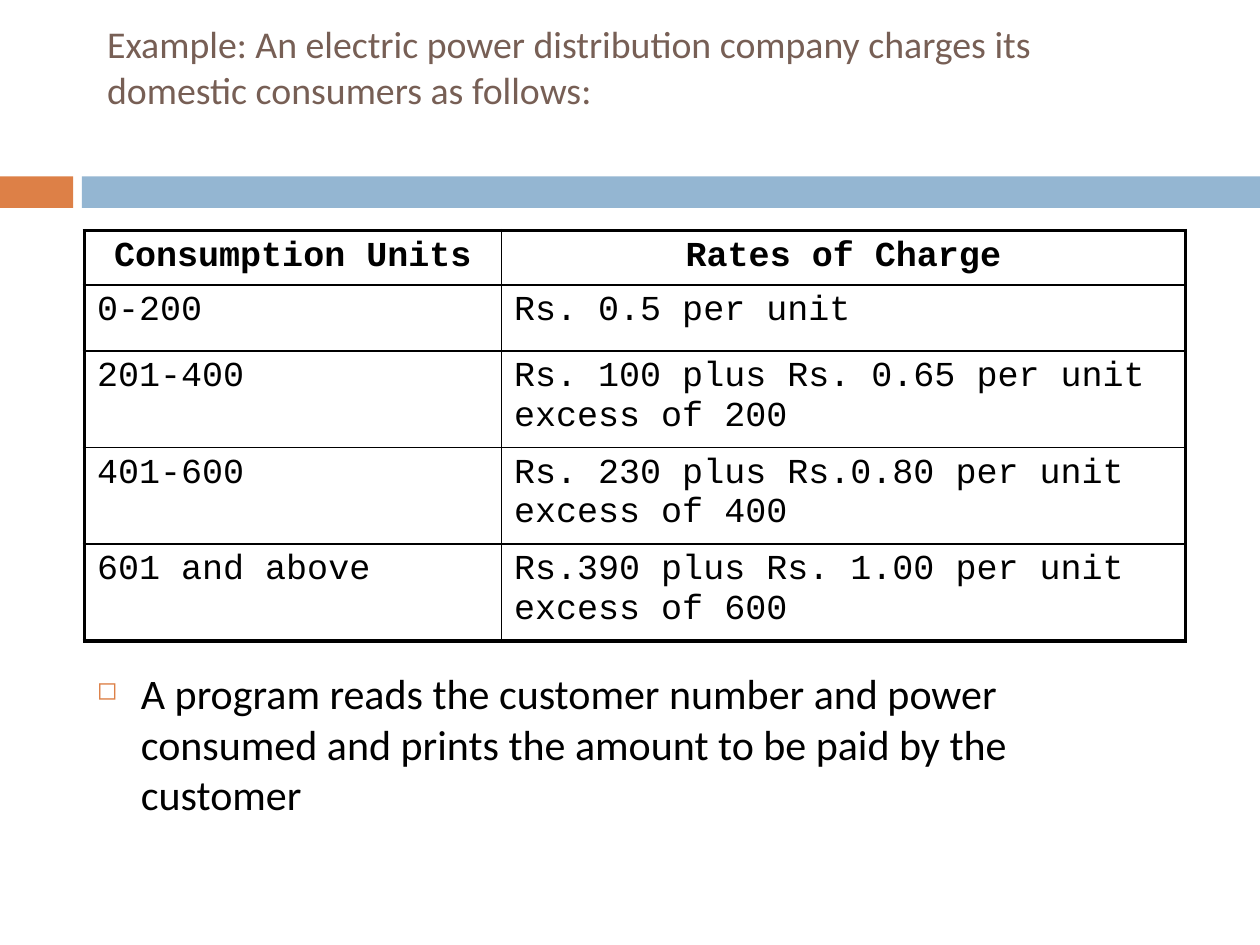
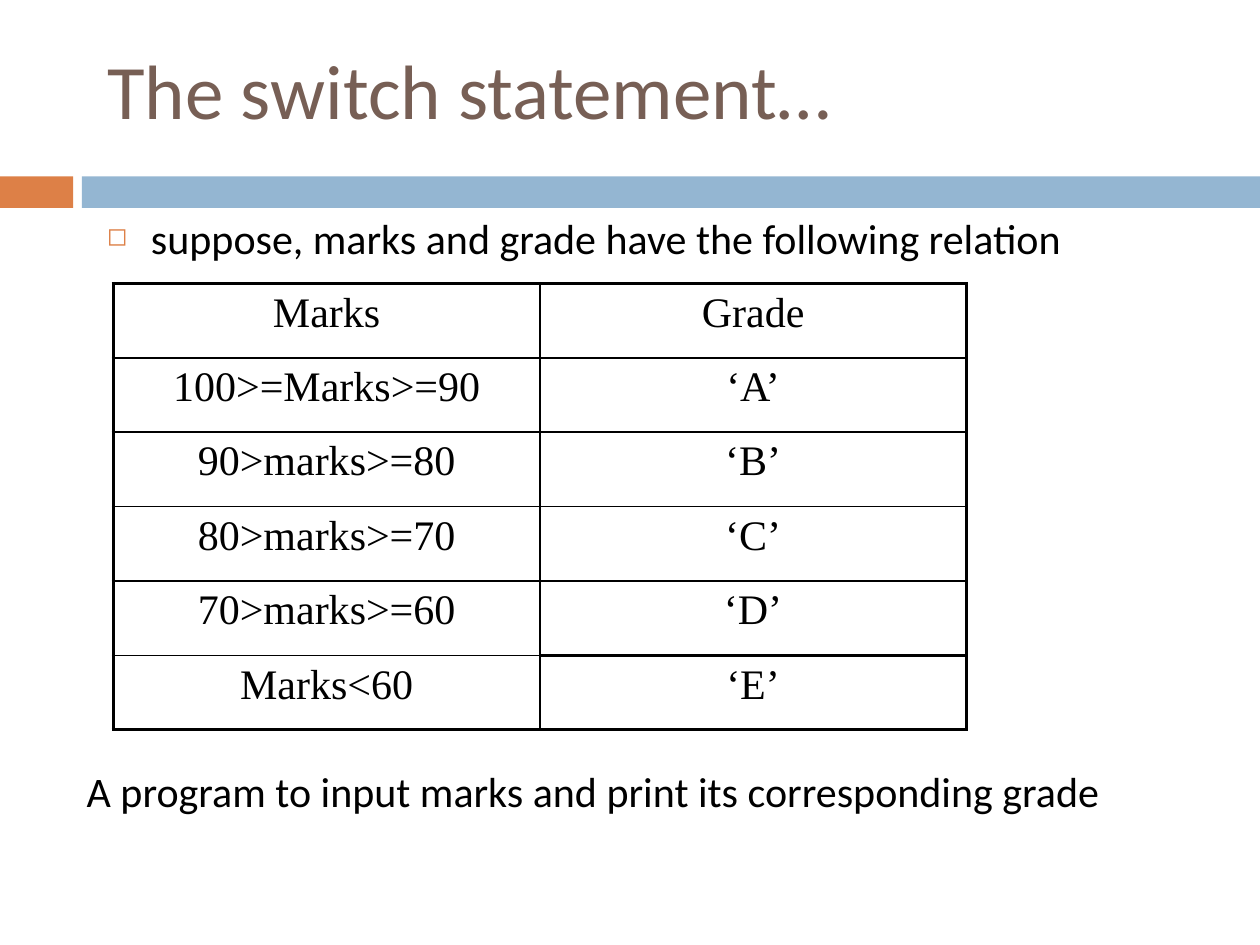
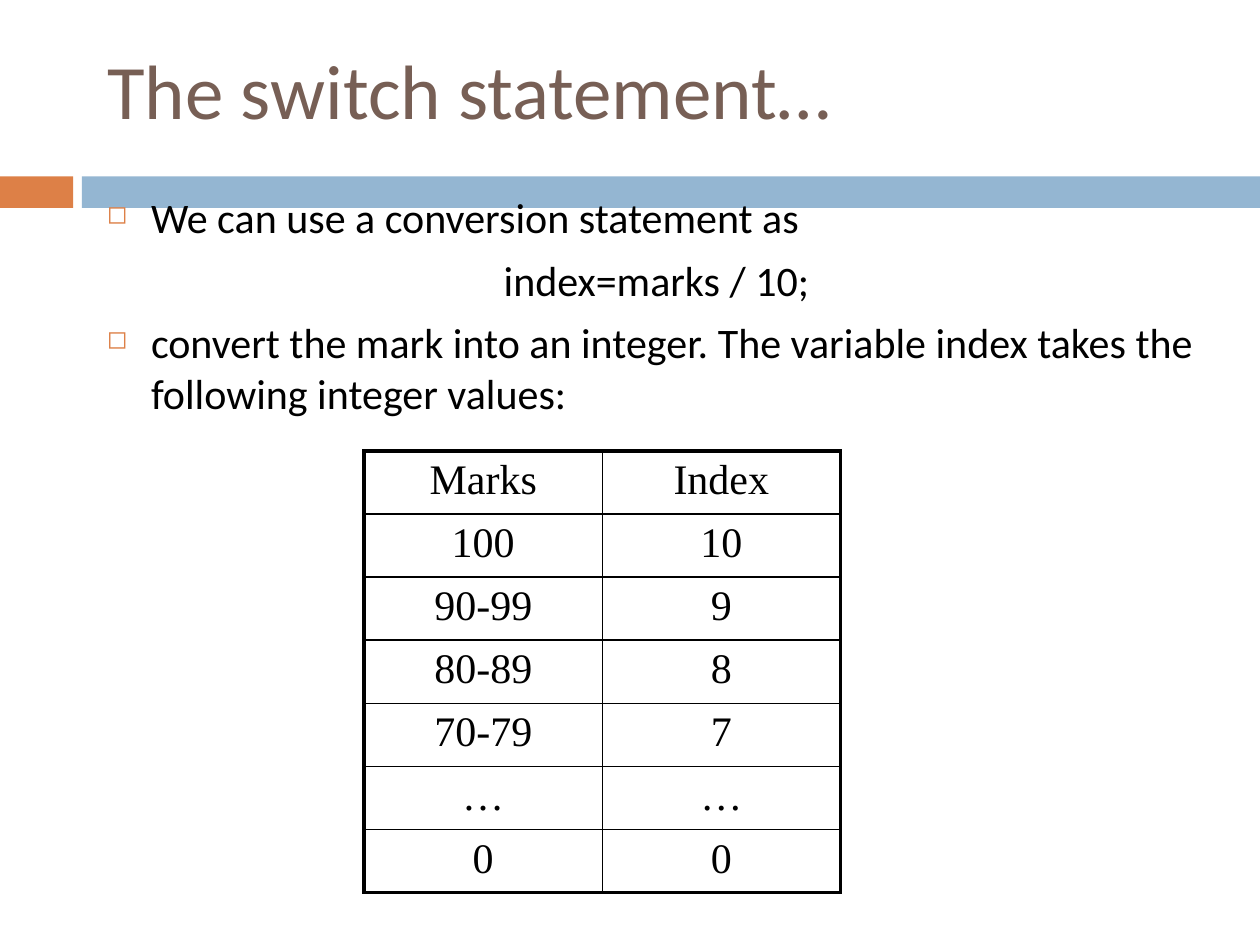
import pptx
import pptx.util
import pptx.dml.color
import pptx.enum.shapes
import pptx.enum.text
import pptx.oxml.ns
from lxml import etree

Pt, Inches = pptx.util.Pt, pptx.util.Inches
Align = pptx.enum.text.PP_ALIGN
Anchor = pptx.enum.text.MSO_ANCHOR
qn = pptx.oxml.ns.qn

# Shared look
WIDE, HIGH = Inches(10), Inches(7.5)
BLACK, BROWN, ORANGE, BLUE = "000000", "775F55", "DD8047", "94B6D2"
SANS, SERIF, MONO = "Calibri", "Times New Roman", "Courier New"
THIN, THICK = 1, 2.25
HANG = Inches(0.35)


def color(code):
    return pptx.dml.color.RGBColor.from_string(code)


def across(share):
    """Percent of the slide's width."""
    return round(WIDE * share / 100)


def down(share):
    """Percent of the slide's height."""
    return round(HIGH * share / 100)


def place(x, y, w, h):
    return across(x), down(y), across(w), down(h)


def apply(item, **values):
    for name, value in values.items():
        setattr(item, name, value)


def write(para, text, size, face=SANS, ink=BLACK, bold=False):
    run = para.add_run()
    run.text = text
    apply(run.font, size=Pt(size), name=face, bold=bold)
    run.font.color.rgb = color(ink)


def node(parent, tag, **values):
    child = etree.SubElement(parent, qn(tag))
    for name, value in values.items():
        child.set(name, str(value))
    return child


def band(slide, box, fill):
    shape = slide.shapes.add_shape(
        pptx.enum.shapes.MSO_SHAPE.RECTANGLE, *place(*box))
    shape.shadow.inherit = False
    shape.fill.solid()
    shape.fill.fore_color.rgb = color(fill)
    shape.line.fill.background()


def start(deck, text, size=44, foot=0.05):
    """Add a slide with its title and the two bands below it."""
    slide = deck.slides.add_slide(deck.slide_layouts[5])
    band(slide, (0, 18.67, 5.8, 3.33), ORANGE)
    band(slide, (6.5, 18.67, 93.5, 3.33), BLUE)
    title = slide.shapes.title
    left, top, width, height = place(7.5, 1.07, 85, 16.67)
    apply(title, left=left, top=top, width=width, height=height)
    apply(title.text_frame, word_wrap=True, vertical_anchor=Anchor.MIDDLE,
          auto_size=pptx.enum.text.MSO_AUTO_SIZE.NONE,
          margin_bottom=Inches(foot))
    para = title.text_frame.paragraphs[0]
    para.alignment = Align.LEFT
    write(para, text, size, ink=BROWN)
    return slide


def mark(para):
    """Give a paragraph a hanging square bullet."""
    props = para._p.get_or_add_pPr()
    props.set("marL", str(HANG))
    props.set("indent", str(-HANG))
    node(node(props, "a:buClr"), "a:srgbClr", val=ORANGE)
    node(props, "a:buSzPct", val=60000)
    node(props, "a:buChar", char="◻")


def body(slide, box, items):
    """Add text from (text, alignment, has bullet) items."""
    frame = slide.shapes.add_textbox(*place(*box)).text_frame
    frame.word_wrap = True
    for index, (text, align, dot) in enumerate(items):
        para = frame.add_paragraph() if index else frame.paragraphs[0]
        apply(para, alignment=align, space_before=Pt(7))
        if dot:
            mark(para)
        elif align == Align.CENTER:
            props = para._p.get_or_add_pPr()
            props.set("marL", str(HANG))
            props.set("indent", str(-HANG))
        write(para, text, 24)


def edge(cell, side, width):
    line = node(cell._tc.get_or_add_tcPr(), "a:ln" + side, w=int(Pt(width)))
    node(node(line, "a:solidFill"), "a:srgbClr", val=BLACK)


def grid(slide, spot, cols, rows, data, size=24, face=SERIF,
         align=Align.CENTER, bold=False, heavy=()):
    """Add a ruled table; heavy lists (row, col) cells with a thick base."""
    table = slide.shapes.add_table(
        len(rows), len(cols), *place(*spot, sum(cols), sum(rows))).table
    apply(table, first_row=False, horz_banding=False)
    for col, share in zip(table.columns, cols):
        col.width = across(share)
    for row, share in zip(table.rows, rows):
        row.height = down(share)
    last, end = len(rows) - 1, len(cols) - 1
    for r, texts in enumerate(data):
        for c, text in enumerate(texts):
            cell = table.cell(r, c)
            thick = {"L": c == 0, "R": c == end,
                     "T": r == 0 or (r - 1, c) in heavy,
                     "B": r == last or (r, c) in heavy}
            for side, strong in thick.items():
                edge(cell, side, THICK if strong else THIN)
            cell.fill.background()
            para = cell.text_frame.paragraphs[0]
            para.alignment = align if r else Align.CENTER
            write(para, text, size, face, bold=bold and r == 0)


def rates(deck):
    slide = start(deck, "Example: An electric power distribution company "
                  "charges its domestic consumers as follows:", 21.6, 0.41)
    body(slide, (6.7, 70, 83.5, 19.73), [
        ("A program reads the customer number and power consumed and prints "
         "the amount to be paid by the customer", Align.LEFT, True)])
    grid(slide, (6.7, 24.4), [33.1, 54.3], [5.5, 6.95] + [9.73] * 3, [
        ("Consumption Units", "Rates of Charge"),
        ("0-200", "Rs. 0.5 per unit"),
        ("201-400", "Rs. 100 plus Rs. 0.65 per unit excess of 200"),
        ("401-600", "Rs. 230 plus Rs.0.80 per unit excess of 400"),
        ("601 and above", "Rs.390 plus Rs. 1.00 per unit excess of 600"),
    ], 20, MONO, Align.LEFT, True)


def grades(deck):
    slide = start(deck, "The switch statement…")
    body(slide, (7.5, 21.87, 85, 9.2), [
        ("suppose, marks and grade have the following relation",
         Align.LEFT, True)])
    grid(slide, (9, 30), [33.85] * 2, [7.87] * 6, [
        ("Marks", "Grade"),
        ("100>=Marks>=90", "‘A’"),
        ("90>marks>=80", "‘B’"),
        ("80>marks>=70", "‘C’"),
        ("70>marks>=60", "‘D’"),
        ("Marks<60", "‘E’"),
    ], heavy=[(4, 1)])
    body(slide, (5.9, 80.4, 85, 9.2), [
        ("A program to input marks and print its corresponding grade",
         Align.LEFT, False)])


def indexes(deck):
    slide = start(deck, "The switch statement…")
    body(slide, (7.5, 19.6, 89.2, 27.07), [
        ("We can use a conversion statement as", Align.LEFT, True),
        ("index=marks / 10;", Align.CENTER, False),
        ("convert the mark into an integer. The variable index takes the "
         "following integer values:", Align.LEFT, True)])
    grid(slide, (28.9, 47.73), [18.9] * 2, [6.25] * 7, [
        ("Marks", "Index"),
        ("100", "10"),
        ("90-99", "9"),
        ("80-89", "8"),
        ("70-79", "7"),
        ("…", "…"),
        ("0", "0"),
    ])


def main():
    deck = pptx.Presentation()
    apply(deck, slide_width=WIDE, slide_height=HIGH)
    for build in (rates, grades, indexes):
        build(deck)
    deck.save("out.pptx")


if __name__ == "__main__":
    main()
